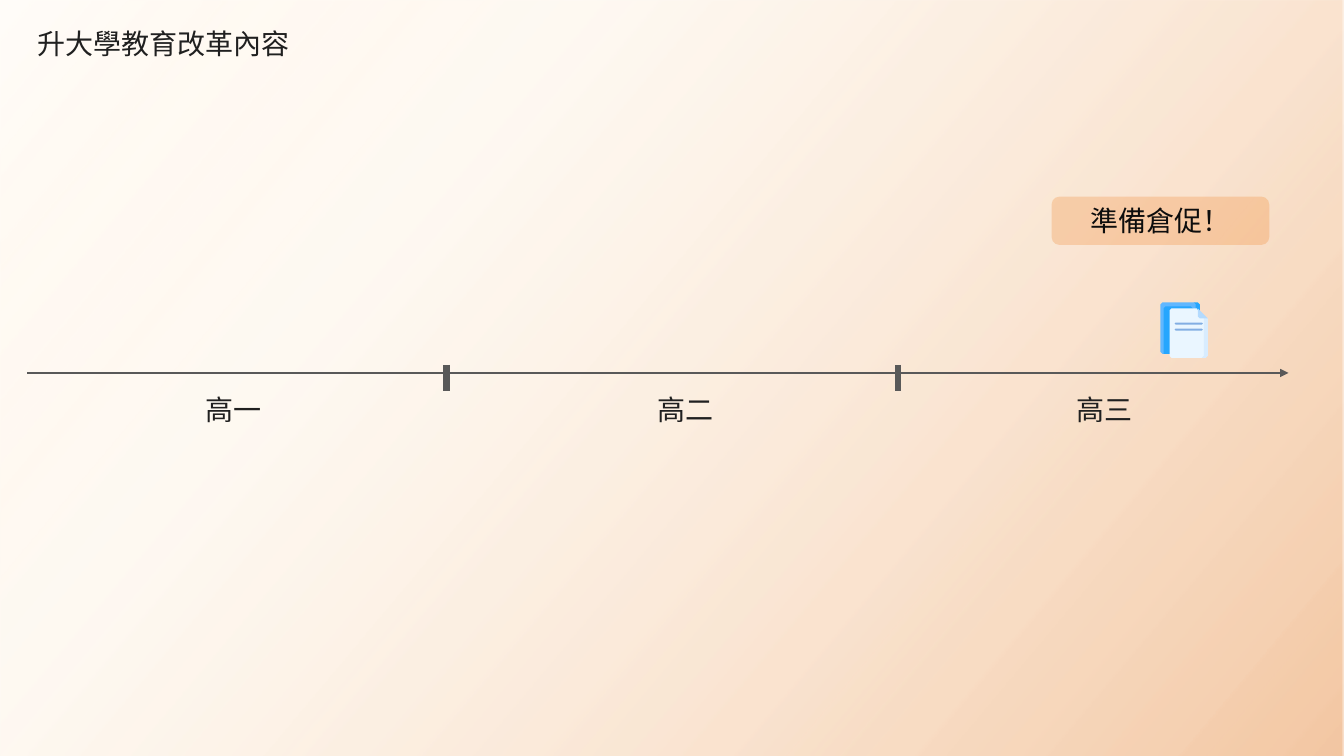
from lxml.etree import SubElement
from pptx import Presentation
from pptx.dml.color import RGBColor
from pptx.enum.shapes import MSO_CONNECTOR, MSO_SHAPE
from pptx.enum.text import MSO_ANCHOR, PP_ALIGN
from pptx.oxml import parse_xml
from pptx.oxml.ns import nsdecls, qn
from pptx.util import Inches, Pt

FONT = "Noto Sans CJK TC"
WASH = [(0, "FFB444", 3), (29, "FBD9AF", 15), (100, "DE6400", 36)]
AXIS_Y = 3.7
YEARS = [("高一", 1.94), ("高二", 6.42), ("高三", 10.58)]
YEAR_ENDS = [4.43, 8.91]
RULES_Y = [3.2, 3.26]
DOCUMENT = [
    ("60B7FF", [(11.53, 3), (11.84, 3), (11.86, 3.02), (11.88, 3.02),
                (11.88, 3.5), (11.85, 3.51), (11.53, 3.51),
                (11.51, 3.49), (11.51, 3.02)]),
    ("26A6FE", [(11.84, 3), (11.88, 3), (11.9, 3.02), (11.9, 3.49),
                (11.88, 3.51), (11.84, 3.51), (11.86, 3.49), (11.86, 3.02)]),
    ("26A6FE", [(11.56, 3.04), (11.81, 3.04), (11.9, 3.12), (11.9, 3.49),
                (11.88, 3.51), (11.54, 3.51), (11.54, 3.06)]),
    ("EAF6FF", [(11.62, 3.06), (11.87, 3.06), (11.91, 3.12), (11.96, 3.15),
                (11.96, 3.55), (11.62, 3.55), (11.6, 3.53), (11.6, 3.08)]),
    ("D8ECFE", [(11.94, 3.14), (11.98, 3.16), (11.98, 3.53),
                (11.96, 3.55), (11.92, 3.55), (11.94, 3.53)]),
    ("B3DAFE", [(11.88, 3.06), (11.98, 3.16), (11.9, 3.16), (11.88, 3.14)]),
]


def rgb(color):
    """Turn a hex string into a colour."""
    return RGBColor.from_string(color)


def paint(sp, color, alpha=100):
    """Give a shape a flat fill with no line or shadow."""
    sp.shadow.inherit = False
    sp.line.fill.background()
    sp.fill.solid()
    sp.fill.fore_color.rgb = rgb(color)
    if alpha < 100:
        clr = sp.fill._xPr.find(".//" + qn("a:srgbClr"))
        SubElement(clr, qn("a:alpha"), val=str(alpha * 1000))


def add_wash(s, width, height):
    """Cover the slide with a translucent diagonal gradient."""
    sp = s.shapes.add_shape(MSO_SHAPE.RECTANGLE, 0, 0, width, height)
    paint(sp, "FFFFFF")
    stops = "".join(
        f'<a:gs pos="{pos * 1000}"><a:srgbClr val="{color}">'
        f'<a:alpha val="{alpha * 1000}"/></a:srgbClr></a:gs>'
        for pos, color, alpha in WASH)
    grad = parse_xml(
        f'<a:gradFill {nsdecls("a")} rotWithShape="1"><a:gsLst>{stops}</a:gsLst>'
        f'<a:lin ang="{40 * 60000}" scaled="0"/></a:gradFill>')
    spPr = sp._element.spPr
    spPr.replace(spPr.find(qn("a:solidFill")), grad)


def write(sp, text, color="202020", anchor=MSO_ANCHOR.MIDDLE, **fmt):
    """Put one formatted paragraph in a shape."""
    tf = sp.text_frame
    tf.word_wrap = True
    tf.vertical_anchor = anchor
    p = tf.paragraphs[0]
    for name, value in fmt.items():
        setattr(p, name, value)
    r = p.add_run()
    r.text = text
    for name, value in {"size": Pt(20), "name": FONT}.items():
        setattr(r.font, name, value)
    r.font.color.rgb = rgb(color)
    SubElement(r._r.get_or_add_rPr(), qn("a:ea"), typeface=FONT)


def add_label(s, text, x, y, w):
    """Add a one-line text box."""
    sp = s.shapes.add_textbox(Inches(x), Inches(y), Inches(w), Inches(0.56))
    write(sp, text, line_spacing=0.9)


def add_line(s, x1, y1, x2, y2, width, arrow=False):
    """Add a grey straight line, with an arrowhead if asked."""
    sp = s.shapes.add_connector(MSO_CONNECTOR.STRAIGHT, Inches(x1), Inches(y1),
                                Inches(x2), Inches(y2))
    sp.line.color.rgb = rgb("595959")
    sp.line.width = Pt(width)
    if arrow:
        SubElement(sp.line._get_or_add_ln(), qn("a:tailEnd"), type="triangle")
    SubElement(sp._element.spPr, qn("a:effectLst"))


def add_outline(s, color, points):
    """Add a filled closed outline."""
    start, *rest = [(Inches(x), Inches(y)) for x, y in points]
    builder = s.shapes.build_freeform(*start)
    builder.add_line_segments(rest, close=True)
    paint(builder.convert_to_shape(), color)


def add_document(s):
    """Draw the document icon with its two ruled lines."""
    for color, points in DOCUMENT:
        add_outline(s, color, points)
    for y in RULES_Y:
        add_outline(s, "82AEE3", [(11.66, y), (11.92, y), (11.93, y + 0.01),
                                  (11.92, y + 0.02), (11.66, y + 0.02),
                                  (11.65, y + 0.01)])


def add_callout(s, text):
    """Add the rounded orange callout."""
    sp = s.shapes.add_shape(MSO_SHAPE.ROUNDED_RECTANGLE, Inches(10.43),
                            Inches(1.95), Inches(2.16), Inches(0.48))
    paint(sp, "EF6C00", 21)
    write(sp, text, "0D0D0D", MSO_ANCHOR.TOP, alignment=PP_ALIGN.CENTER)


def main():
    """Build the slide and save it."""
    prs = Presentation()
    prs.slide_width, prs.slide_height = Inches(13.33), Inches(7.5)
    s = prs.slides.add_slide(prs.slide_layouts[6])
    add_wash(s, prs.slide_width, prs.slide_height)
    add_label(s, "升大學教育改革內容", 0.27, 0.17, 3.65)
    add_line(s, 0.27, AXIS_Y, 12.78, AXIS_Y, 1.5, arrow=True)
    for x in YEAR_ENDS:
        add_line(s, x, 3.62, x, 3.88, 4.5)
    for text, x in YEARS:
        add_label(s, text, x, 3.8, 0.82)
    add_document(s)
    add_callout(s, "準備倉促！")
    prs.save("out.pptx")


if __name__ == "__main__":
    main()
